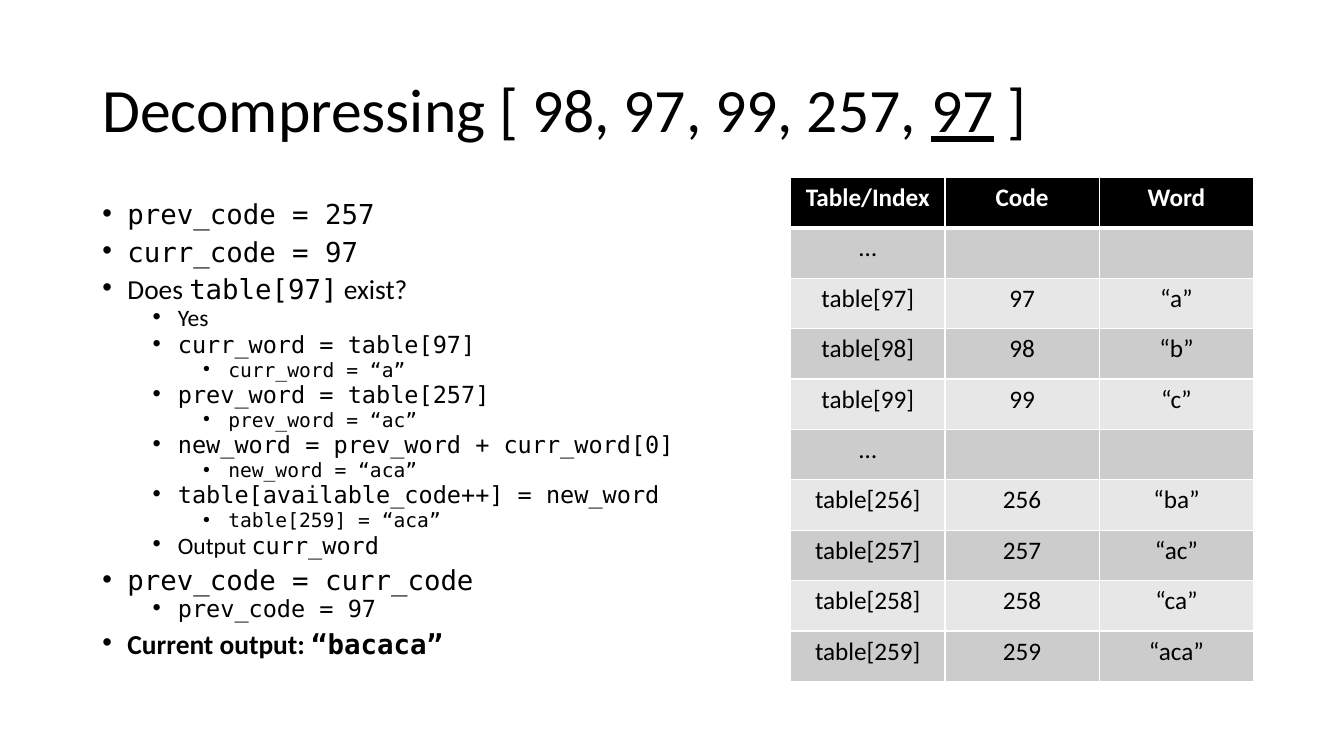
from dataclasses import dataclass

from lxml.etree import SubElement
from pptx import Presentation
from pptx.dml.color import RGBColor
from pptx.enum.text import MSO_ANCHOR, MSO_AUTO_SIZE, PP_ALIGN
from pptx.oxml import parse_xml
from pptx.oxml.ns import nsdecls, qn
from pptx.util import Pt

PX = 9525


@dataclass(frozen=True)
class Theme:
    """Fonts, colours and type sizes of the slide."""
    sans: str = "Calibri"
    mono: str = "DejaVu Sans Mono"
    text: str = "000000"
    light: str = "FFFFFF"
    header: str = "000000"
    bands: tuple = ("CCCCCC", "E7E7E7")
    title_size: float = 44
    cell_size: float = 18
    level_sizes: tuple = (19.6, 16.8, 14)
    level_gaps: tuple = (10, 5, 5)


THEME = Theme()

TITLE = "Decompressing [ 98, 97, 99, 257, `97` ]"
STEPS = [
    (0, "`prev_code = 257`"),
    (0, "`curr_code = 97`"),
    (0, "Does `table[97]` exist?"),
    (1, "Yes"),
    (1, "`curr_word = table[97]`"),
    (2, "`curr_word = “a”`"),
    (1, "`prev_word = table[257]`"),
    (2, "`prev_word = “ac”`"),
    (1, "`new_word = prev_word + curr_word[0]`"),
    (2, "`new_word = “aca”`"),
    (1, "`table[available_code++] = new_word`"),
    (2, "`table[259] = “aca”`"),
    (1, "Output `curr_word`"),
    (0, "`prev_code = curr_code`"),
    (1, "`prev_code = 97`"),
]
RESULT = "Current output: `“bacaca”`"
HEADINGS = ("Table/Index", "Code", "Word")
WORDS = [None, (97, "a"), (98, "b"), (99, "c"), None,
         (256, "ba"), (257, "ac"), (258, "ca"), (259, "aca")]


def format_font(font, size, color=THEME.text, name=THEME.sans, bold=False):
    """Set the typeface, size, weight and colour of a font."""
    font.name, font.size, font.bold = name, Pt(size), bold
    font.color.rgb = RGBColor.from_string(color)


def add_spans(para, marked, size, bold=False):
    """Add the pieces of a text and return those between backticks."""
    accents = []
    for index, piece in enumerate(marked.split("`")):
        if piece:
            span = para.add_run()
            span.text = piece
            format_font(span.font, size, bold=bold)
            if index % 2:
                accents.append(span)
    return accents


def add_title(page, marked, left, top, width, height):
    """Place the title and underline its current code."""
    title = page.shapes.title
    title.left, title.top, title.width, title.height = (
        length * PX for length in (left, top, width, height))
    frame = title.text_frame
    frame.auto_size = MSO_AUTO_SIZE.NONE
    frame.vertical_anchor = MSO_ANCHOR.MIDDLE
    para = frame.paragraphs[0]
    para.alignment = PP_ALIGN.LEFT
    para.line_spacing = 0.9
    for span in add_spans(para, marked, THEME.title_size):
        span.font.underline = True


def add_bullet(para, level, marked, bold=False):
    """Fill one bulleted paragraph, with code in the mono font."""
    para.level = level
    para.line_spacing = 0.7
    para.space_before = Pt(THEME.level_gaps[level])
    properties = para._p.get_or_add_pPr()
    properties.set("marL", str((24 + 48 * level) * PX))
    properties.set("indent", str(-24 * PX))
    SubElement(properties, qn("a:buFont"), typeface="Arial")
    SubElement(properties, qn("a:buChar"), char="•")
    for span in add_spans(para, marked, THEME.level_sizes[level], bold):
        span.font.name = THEME.mono


def add_steps(page, left, top, width, height):
    """Add the list of decoding steps, ending in the bold result."""
    box = page.shapes.add_textbox(left * PX, top * PX, width * PX, height * PX)
    frame = box.text_frame
    frame.word_wrap = True
    para = frame.paragraphs[0]
    for level, marked in STEPS:
        add_bullet(para, level, marked)
        para = frame.add_paragraph()
    add_bullet(para, 0, RESULT, bold=True)


def add_borders(cell, bottom):
    """Draw the borders of a cell, the bottom one in its own width."""
    properties = cell._tc.get_or_add_tcPr()
    widths = {"lnL": 1, "lnR": 1, "lnT": 1, "lnB": bottom}
    for index, (edge, width) in enumerate(widths.items()):
        properties.insert(index, parse_xml(
            f'<a:{edge} {nsdecls("a")} w="{Pt(width)}"><a:solidFill>'
            f'<a:srgbClr val="{THEME.light}"/></a:solidFill></a:{edge}>'))


def fill_cell(cell, text, fill, color, header):
    """Write and style one table cell."""
    cell.text = text
    cell.fill.solid()
    cell.fill.fore_color.rgb = RGBColor.from_string(fill)
    add_borders(cell, 3 if header else 1)
    para = cell.text_frame.paragraphs[0]
    para.alignment = PP_ALIGN.CENTER
    format_font(para.font, THEME.cell_size)
    for span in para.runs:
        format_font(span.font, THEME.cell_size, color, bold=header)


def add_code_table(page, left, top, column_width, row_height):
    """Add the table of codes and words in banded rows."""
    rows = [HEADINGS]
    for entry in WORDS:
        if entry:
            code, word = entry
            rows.append((f"table[{code}]", str(code), f"“{word}”"))
        else:
            rows.append(("…", "", ""))
    table = page.shapes.add_table(
        len(rows), len(HEADINGS), left * PX, top * PX,
        len(HEADINGS) * column_width * PX, len(rows) * row_height * PX).table
    for column in table.columns:
        column.width = column_width * PX
    for index, values in enumerate(rows):
        header = index == 0
        fill = THEME.header if header else THEME.bands[(index - 1) % 2]
        color = THEME.light if header else THEME.text
        for cell, text in zip(table.rows[index].cells, values):
            fill_cell(cell, text, fill, color, header)


def main():
    """Build the slide and save it."""
    deck = Presentation()
    deck.slide_width, deck.slide_height = 1280 * PX, 720 * PX
    page = deck.slides.add_slide(deck.slide_layouts[5])
    add_title(page, TITLE, 88, 38, 1104, 139)
    add_steps(page, 88, 192, 611, 457)
    add_code_table(page, 753, 169, 147, 48)
    deck.save("out.pptx")


if __name__ == "__main__":
    main()
